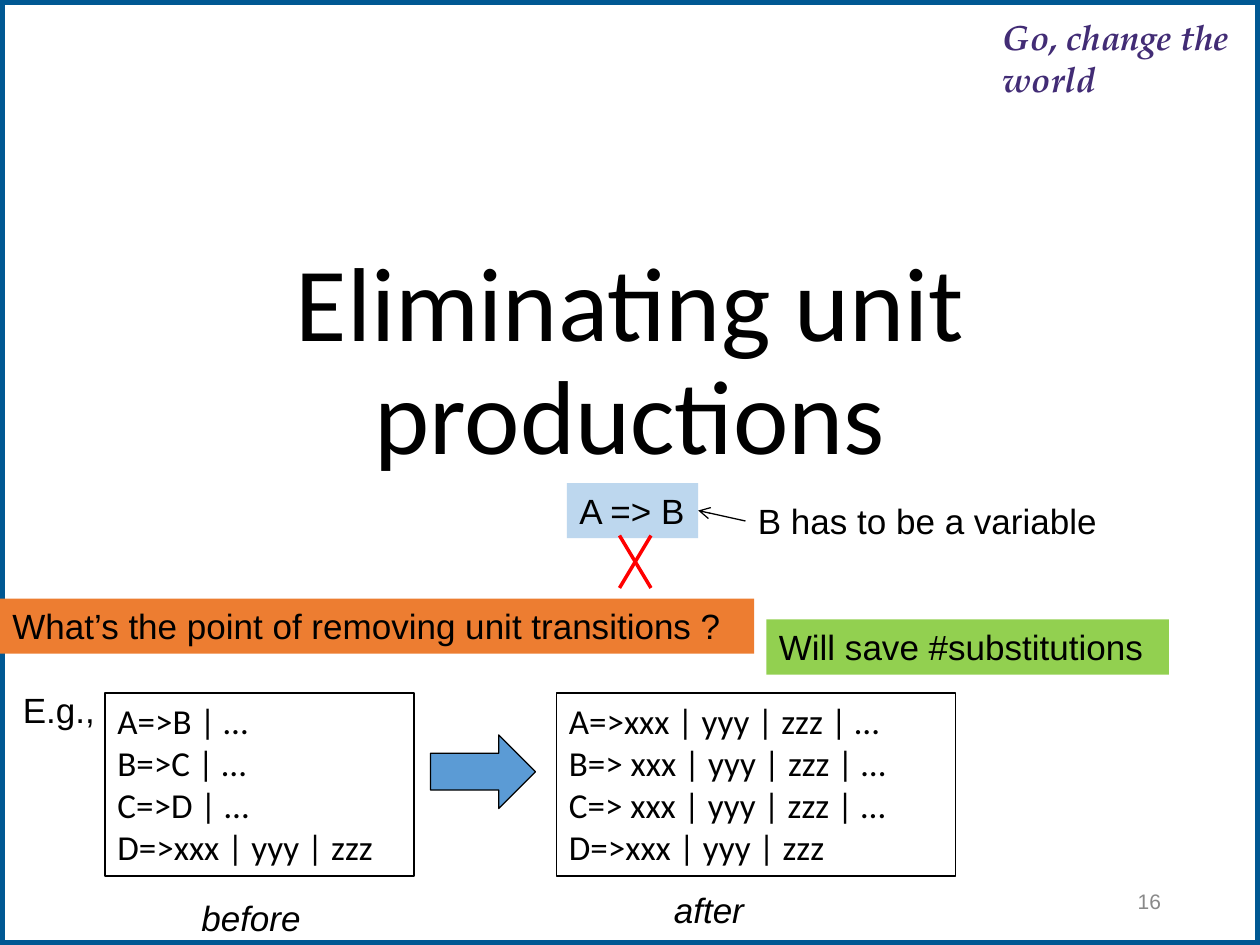
from dataclasses import dataclass, field

from lxml import etree
from pptx import Presentation
from pptx.dml.color import RGBColor
from pptx.enum.shapes import MSO_CONNECTOR, MSO_SHAPE
from pptx.enum.text import MSO_ANCHOR, MSO_AUTO_SIZE, PP_ALIGN
from pptx.oxml.ns import qn
from pptx.util import Pt

RECTANGLE, RIGHT_ARROW = MSO_SHAPE.RECTANGLE, MSO_SHAPE.RIGHT_ARROW
STRAIGHT = MSO_CONNECTOR.STRAIGHT
TOP, MIDDLE, BOTTOM = MSO_ANCHOR.TOP, MSO_ANCHOR.MIDDLE, MSO_ANCHOR.BOTTOM
LEFT, CENTER, RIGHT = PP_ALIGN.LEFT, PP_ALIGN.CENTER, PP_ALIGN.RIGHT
FIT_SHAPE, NO_FIT = MSO_AUTO_SIZE.SHAPE_TO_FIT_TEXT, MSO_AUTO_SIZE.NONE

COLORS = {
    "white": "FFFFFF", "black": "000000", "border": "005893", "motto": "422C75",
    "number": "898989", "rule": "BDD7EE", "question": "ED7D31", "answer": "92D050",
    "arrow": "5B9BD5", "cross": "FF0000",
}
LABEL_HEIGHT = 31.5


@dataclass
class Box:
    left: float
    top: float
    width: float
    height: float = LABEL_HEIGHT
    lines: tuple = ()
    fill: str = ""
    line: str = ""
    line_width: float = 1
    shape_type: MSO_SHAPE = RECTANGLE
    color: str = "black"
    font: dict = field(default_factory=dict)
    paragraph: dict = field(default_factory=dict)
    frame: dict = field(default_factory=dict)
    spacing: int = 0


@dataclass
class Line:
    start: tuple
    end: tuple
    color: str
    width: float


def rgb(name: str) -> RGBColor:
    """Return the named colour."""
    return RGBColor.from_string(COLORS[name])


def apply_format(target, values: dict) -> None:
    """Set every format value on the target."""
    for name, value in values.items():
        setattr(target, name, value)


def write_text(shape, box: Box) -> None:
    """Write the lines of a box as paragraphs."""
    frame = shape.text_frame
    apply_format(frame, {"word_wrap": False, "auto_size": FIT_SHAPE,
                         "vertical_anchor": TOP} | box.frame)
    for index, text in enumerate(box.lines):
        paragraph = frame.add_paragraph() if index else frame.paragraphs[0]
        apply_format(paragraph, {"alignment": LEFT} | box.paragraph)
        run = paragraph.add_run()
        run.text = text
        apply_format(run.font, {"name": "Arial", "size": Pt(20)} | box.font)
        run.font.color.rgb = rgb(box.color)
        if box.spacing:
            run.font._element.set("spc", str(box.spacing))


def draw_box(slide, box: Box):
    """Draw a filled shape or a plain text box."""
    place = [Pt(value) for value in (box.left, box.top, box.width, box.height)]
    if box.fill:
        shape = slide.shapes.add_shape(box.shape_type, *place)
        shape.shadow.inherit = False
        shape.fill.solid()
        shape.fill.fore_color.rgb = rgb(box.fill)
        if box.line:
            shape.line.color.rgb = rgb(box.line)
            shape.line.width = Pt(box.line_width)
        else:
            shape.line.fill.background()
    else:
        shape = slide.shapes.add_textbox(*place)
    if box.lines:
        write_text(shape, box)
    return shape


def draw_line(slide, line: Line):
    """Draw a straight connector without a shadow."""
    connector = slide.shapes.add_connector(
        STRAIGHT, *[Pt(value) for value in line.start + line.end])
    connector.line.color.rgb = rgb(line.color)
    connector.line.width = Pt(line.width)
    etree.SubElement(connector._element.spPr, qn("a:effectLst"))
    return connector


BORDER = Box(0, 0, 720, 540, fill="white", line="border", line_width=6)
RULE = Box(324, 276, 75, lines=("A => B",), fill="rule")
NOTE = Box(426, 282, 209.5, lines=("B has to be a variable",))
CROSS = [Line((354, 306), (372, 336), "cross", 2), Line((372, 306), (354, 336), "cross", 2)]
GRAMMAR = {"height": 104.5, "fill": "white", "line": "black", "font": {"name": "Calibri"}}
ITALIC = {"italic": True}

HEADINGS = [
    Box(572.4, 7.2, 147.6, 45, ("Go, change the world",), color="motto", spacing=-10,
        font={"name": "TeX Gyre Pagella", "bold": True, "italic": True},
        frame={"word_wrap": True, "margin_left": Pt(0.7), "margin_top": Pt(1.7),
               "margin_right": 0, "margin_bottom": 0}),
    Box(90, 88.5, 540, 188, ("Eliminating unit productions",),
        font={"name": "Calibri", "size": Pt(60)},
        paragraph={"alignment": CENTER, "line_spacing": 0.9},
        frame={"word_wrap": True, "auto_size": NO_FIT, "vertical_anchor": BOTTOM}),
    Box(508.5, 500.5, 162, 28.75, ("16",), color="number", font={"size": Pt(12)},
        paragraph={"alignment": RIGHT},
        frame={"word_wrap": True, "auto_size": NO_FIT, "vertical_anchor": MIDDLE}),
]
EXAMPLE = [
    Box(0, 342, 431, lines=("What’s the point of removing unit transitions ?",),
        fill="question"),
    Box(60, 396, 176.5, lines=("A=>B | …", "B=>C | …", "C=>D | …", "D=>xxx | yyy | zzz"),
        **GRAMMAR),
    Box(246, 420, 60, 42, fill="arrow", line="black", line_width=0.75,
        shape_type=RIGHT_ARROW),
    Box(318, 396, 228, frame={"word_wrap": True},
        lines=("A=>xxx | yyy | zzz | …", "B=> xxx | yyy | zzz | …",
               "C=> xxx | yyy | zzz | …", "D=>xxx | yyy | zzz"), **GRAMMAR),
    Box(438, 354, 230, lines=("Will save #substitutions",), fill="answer"),
    Box(6, 390, 61, lines=("E.g.,",)),
    Box(108, 508.5, 72, lines=("before",), font=ITALIC),
    Box(378, 504, 55, lines=("after",), font=ITALIC),
]


def main() -> None:
    """Build and save the slide."""
    presentation = Presentation()
    presentation.slide_width, presentation.slide_height = Pt(720), Pt(540)
    slide = presentation.slides.add_slide(presentation.slide_layouts[6])
    for box in [BORDER, *HEADINGS]:
        draw_box(slide, box)
    rule = draw_box(slide, RULE)
    for line in CROSS:
        draw_line(slide, line)
    note = draw_box(slide, NOTE)
    pointer = draw_line(slide, Line((426, 297.75), (399, 291.75), "black", 0.75))
    pointer.begin_connect(note, 1)
    pointer.end_connect(rule, 3)
    etree.SubElement(pointer.line._get_or_add_ln(), qn("a:tailEnd"), type="arrow")
    for box in EXAMPLE:
        draw_box(slide, box)
    presentation.save("out.pptx")


if __name__ == "__main__":
    main()
